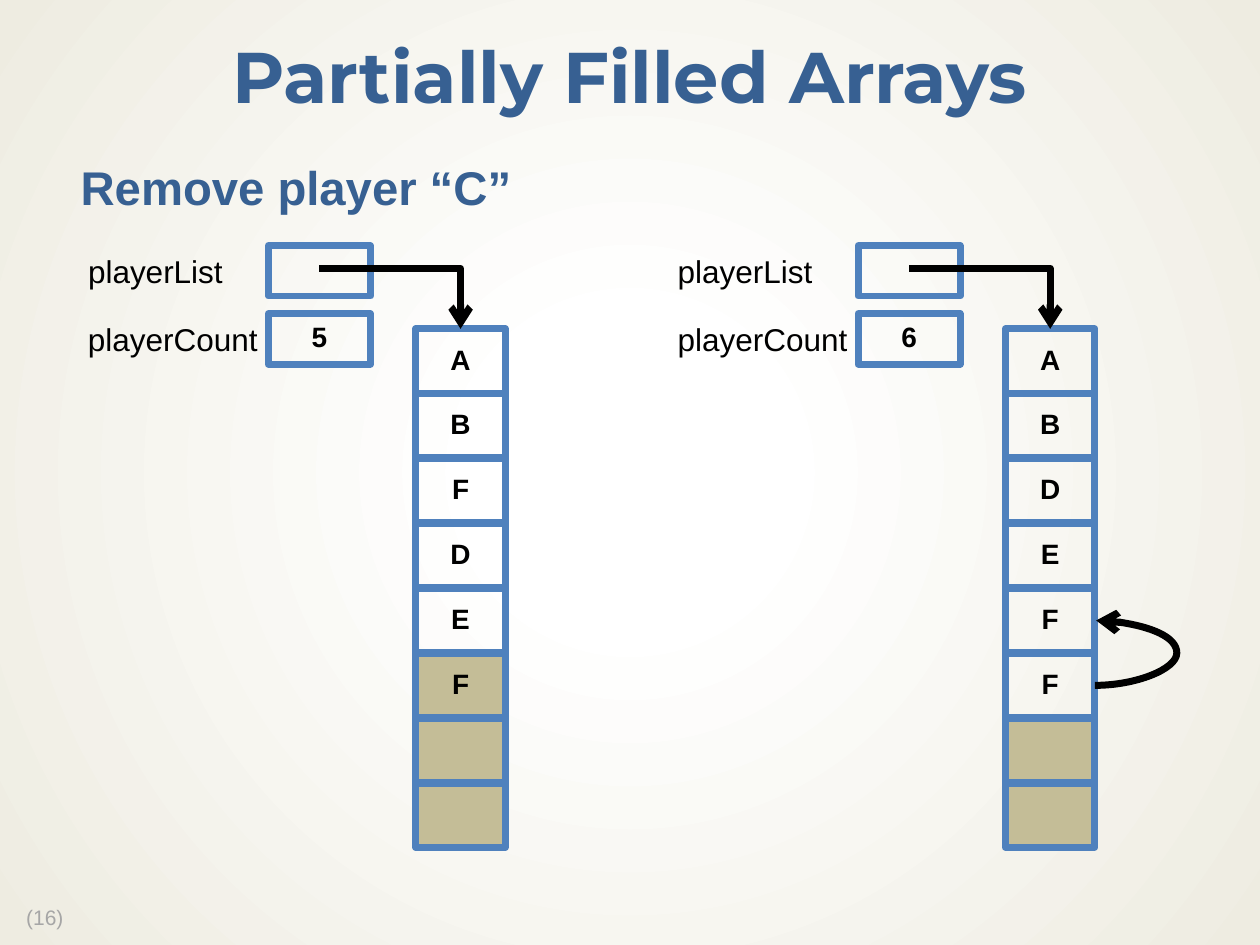
from dataclasses import dataclass
from typing import Any

from lxml.etree import SubElement
from pptx import Presentation
from pptx.dml.color import RGBColor
from pptx.enum.shapes import MSO_CONNECTOR, MSO_SHAPE
from pptx.enum.text import MSO_ANCHOR, MSO_AUTO_SIZE, PP_ALIGN
from pptx.oxml import parse_xml
from pptx.oxml.ns import nsdecls, qn
from pptx.util import Inches, Pt


@dataclass(frozen=True)
class Theme:
    heading: str = "376092"
    outline: str = "4F81BD"
    unused: str = "C4BD97"
    ink: str = "000000"
    muted: str = "A6A6A6"
    paper: str = "FFFFFF"
    edge: str = "EEECE1"
    title_font: str = "Montserrat"
    text_font: str = "Arial"
    title_size: int = 41
    heading_size: int = 27
    label_size: int = 18
    value_size: int = 16
    number_size: int = 12
    line_width: int = 4


@dataclass(frozen=True)
class Grid:
    panel_left: float = 0.6
    panel_pitch: float = 4.68
    field_top: float = 1.95
    field_pitch: float = 0.54
    field_offset: float = 1.53
    field_width: float = 0.81
    field_height: float = 0.4
    array_offset: float = 2.7
    array_top: float = 2.61
    cell_pitch: float = 0.515
    cell_width: float = 0.71
    cell_height: float = 0.51

    def panel(self, column: int) -> float:
        return self.panel_left + column * self.panel_pitch

    def field(self, row: int) -> float:
        return self.field_top + row * self.field_pitch

    def cell(self, row: int) -> float:
        return self.array_top + row * self.cell_pitch


@dataclass(frozen=True)
class Panel:
    column: int
    players: str
    count: int
    capacity: int = 8


@dataclass(frozen=True)
class Label:
    text: str
    width: float


THEME = Theme()
GRID = Grid()
LABELS = (Label("playerList", 1.28), Label("playerCount", 1.56))
PANELS = (Panel(0, "ABFDEF", 5), Panel(1, "ABDEFF", 6))


def apply(target: Any, values: dict[str, Any]) -> None:
    for name, value in values.items():
        setattr(target, name, value)


def place(shape: Any, left: float, top: float, width: float, height: float) -> None:
    apply(shape, {"left": Inches(left), "top": Inches(top),
                  "width": Inches(width), "height": Inches(height)})


def write(shape: Any, text: str, size: int, color: str, bold: bool = False,
          font: str = THEME.text_font, frame: dict[str, Any] | None = None,
          **paragraph_format: Any) -> Any:
    apply(shape.text_frame, frame or {})
    paragraph = shape.text_frame.paragraphs[0]
    apply(paragraph, paragraph_format)
    run = paragraph.add_run()
    run.text = text
    apply(run.font, {"name": font, "size": Pt(size), "bold": bold})
    run.font.color.rgb = RGBColor.from_string(color)
    return paragraph


def paint_background(slide: Any) -> None:
    fill = slide.background.fill
    fill.gradient()
    gradient = slide.background._cSld.bg.bgPr.find(qn("a:gradFill"))
    gradient.getparent().replace(gradient, parse_xml(
        f'<a:gradFill {nsdecls("a")} rotWithShape="1"><a:gsLst>'
        f'<a:gs pos="18000"><a:srgbClr val="{THEME.paper}"><a:alpha val="53000"/></a:srgbClr></a:gs>'
        f'<a:gs pos="100000"><a:srgbClr val="{THEME.edge}"/></a:gs></a:gsLst>'
        '<a:path path="circle"><a:fillToRect l="50000" t="50000" r="50000" b="50000"/></a:path>'
        '</a:gradFill>'))


def add_headings(slide: Any) -> None:
    title, body = slide.shapes.title, slide.placeholders[1]
    fixed = {"auto_size": MSO_AUTO_SIZE.NONE, "word_wrap": True,
             "margin_top": Inches(0.06), "margin_bottom": Inches(0.06)}
    place(title, 0, 0.17, 10, 0.94)
    write(title, "Partially Filled Arrays", THEME.title_size, THEME.heading, True, THEME.title_font,
          fixed | {"vertical_anchor": MSO_ANCHOR.MIDDLE},
          alignment=PP_ALIGN.CENTER, line_spacing=0.9)
    place(body, 0.38, 1.25, 9.25, 5.65)
    paragraph = write(body, "Remove player “C”", THEME.heading_size, THEME.heading, True,
                      frame=fixed | {"margin_left": Inches(0.12), "margin_right": Inches(0.12)},
                      line_spacing=0.9, space_before=Pt(3))
    properties = paragraph._p.get_or_add_pPr()
    for name, value in {"marL": Inches(0.14), "indent": 0}.items():
        properties.set(name, str(value))
    SubElement(properties, qn("a:buNone"))


def add_text(slide: Any, text: str, left: float, top: float, width: float, height: float,
             size: int, color: str, line_spacing: float = 1.0) -> None:
    box = slide.shapes.add_textbox(0, 0, 0, 0)
    place(box, left, top, width, height)
    write(box, text, size, color, line_spacing=line_spacing,
          frame={"word_wrap": False, "auto_size": MSO_AUTO_SIZE.SHAPE_TO_FIT_TEXT})


def add_box(slide: Any, text: str, left: float, top: float, width: float, height: float,
            fill: str | None = None) -> None:
    box = slide.shapes.add_shape(MSO_SHAPE.RECTANGLE, 0, 0, 0, 0)
    place(box, left, top, width, height)
    box.shadow.inherit = False
    if fill:
        box.fill.solid()
        box.fill.fore_color.rgb = RGBColor.from_string(fill)
    else:
        box.fill.background()
    box.line.color.rgb = RGBColor.from_string(THEME.outline)
    box.line.width = Pt(THEME.line_width)
    if text:
        write(box, text, THEME.value_size, THEME.ink, True,
              frame={"vertical_anchor": MSO_ANCHOR.MIDDLE},
              alignment=PP_ALIGN.CENTER, line_spacing=0.9)


def add_arrow(slide: Any, kind: MSO_CONNECTOR, start: tuple[float, float],
              end: tuple[float, float]) -> Any:
    arrow = slide.shapes.add_connector(kind, *(Inches(value) for value in (*start, *end)))
    arrow.line.color.rgb = RGBColor.from_string(THEME.ink)
    arrow.line.width = Pt(THEME.line_width)
    SubElement(arrow.line._get_or_add_ln(), qn("a:tailEnd"), type="arrow")
    properties = arrow._element.spPr
    SubElement(properties, qn("a:effectLst"))
    return properties.find(qn("a:prstGeom"))


def add_panel(slide: Any, panel: Panel) -> None:
    left = GRID.panel(panel.column)
    field_left, array_left = left + GRID.field_offset, left + GRID.array_offset
    for row in range(panel.capacity):
        add_box(slide, panel.players[row:row + 1], array_left, GRID.cell(row),
                GRID.cell_width, GRID.cell_height, None if row < panel.count else THEME.unused)
    for row, (label, value) in enumerate(zip(LABELS, ("", str(panel.count)))):
        add_text(slide, label.text, left, GRID.field(row), label.width, GRID.field_height,
                 THEME.label_size, THEME.ink)
        add_box(slide, value, field_left, GRID.field(row), GRID.field_width, GRID.field_height)
    geometry = add_arrow(slide, MSO_CONNECTOR.ELBOW, (field_left + GRID.field_width / 2, 2.13),
                         (array_left + GRID.cell_width / 2, GRID.array_top))
    geometry.set("prst", "bentConnector2")


def add_shift_arrow(slide: Any, panel: Panel, source: int, target: int) -> None:
    edge = GRID.panel(panel.column) + GRID.array_offset + GRID.cell_width
    middle = GRID.cell_height / 2
    run, bulge = 0.01, 0.66
    geometry = add_arrow(slide, MSO_CONNECTOR.CURVE, (edge, GRID.cell(source) + middle),
                         (edge + run, GRID.cell(target) + middle))
    adjustments = geometry.find(qn("a:avLst"))
    if adjustments is None:
        adjustments = SubElement(geometry, qn("a:avLst"))
    SubElement(adjustments, qn("a:gd"), name="adj1", fmla=f"val {round(bulge / run * 100000)}")


presentation = Presentation()
apply(presentation, {"slide_width": Inches(10), "slide_height": Inches(7.5)})
slide = presentation.slides.add_slide(presentation.slide_layouts[1])
paint_background(slide)
add_headings(slide)
add_text(slide, "(16)", 0.11, 7.15, 0.6, 0.28, THEME.number_size, THEME.muted, 0.9)
for panel in PANELS:
    add_panel(slide, panel)
add_shift_arrow(slide, PANELS[1], 5, 4)
presentation.save("out.pptx")
